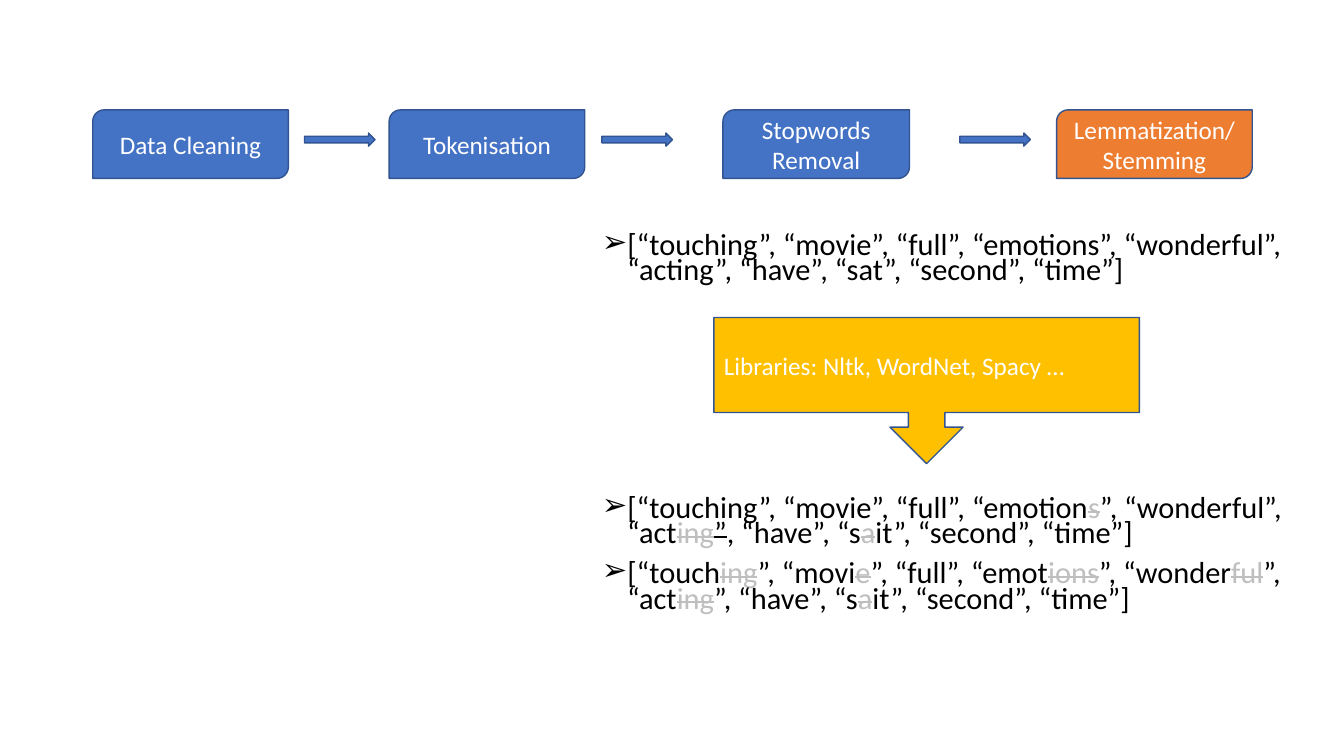
from lxml import etree
from pptx import Presentation
from pptx.dml.color import RGBColor
from pptx.enum.shapes import MSO_SHAPE
from pptx.enum.text import MSO_ANCHOR, MSO_AUTO_SIZE, PP_ALIGN
from pptx.oxml.ns import qn
from pptx.util import Inches, Pt

STEP = MSO_SHAPE.ROUND_2_DIAG_RECTANGLE
ARROW = MSO_SHAPE.RIGHT_ARROW
CALLOUT = MSO_SHAPE.DOWN_ARROW_CALLOUT
LEFT, CENTER = PP_ALIGN.LEFT, PP_ALIGN.CENTER
TOP, MIDDLE = MSO_ANCHOR.TOP, MSO_ANCHOR.MIDDLE
NO_AUTOFIT = MSO_AUTO_SIZE.NONE

FONT = "Calibri"
COLORS = {
    "step": "4472C4",
    "current": "ED7D31",
    "libraries": "FFC000",
    "outline": "325491",
    "light": "FFFFFF",
    "dark": "000000",
    "removed": "BFBFBF",
}

STEPS = [
    ("Data Cleaning", 0, 1.94, "step"),
    ("Tokenisation", 2.94, 1.94, "step"),
    ("Stopwords Removal", 6.25, 1.85, "step"),
    ("Lemmatization/Stemming", 9.56, 1.94, "current"),
]
ARROW_OFFSETS = [2.1, 5.05, 8.6]

TOKENS = [("[“touching”, “movie”, “full”, “emotions”, “wonderful”, "
           "“acting”, “have”, “sat”, “second”, “time”]", "dark", False)]
LEMMAS = [
    ("[“touching”, “movie”, “full”, “emotion", "dark", False),
    ("s", "removed", True),
    ("”, “wonderful”, “act", "dark", False),
    ("ing", "removed", True),
    ("”", "dark", True),
    (", “have”, “s", "dark", False),
    ("a", "removed", True),
    ("it”, “second”, “time”]", "dark", False),
]
STEMS = [
    ("[“touch", "dark", False),
    ("ing", "removed", True),
    ("”, “movi", "dark", False),
    ("e", "removed", True),
    ("”, “full”, “emot", "dark", False),
    ("ions", "removed", True),
    ("”, “wonder", "dark", False),
    ("ful", "removed", True),
    ("”, “act", "dark", False),
    ("ing", "removed", True),
    ("”, “have”, “s", "dark", False),
    ("a", "removed", True),
    ("it”, “second”, “time”]", "dark", False),
]


def rgb(name):
    return RGBColor.from_string(COLORS[name])


def add_text(paragraph, text, size=18, color="light", align=LEFT, strike=False):
    paragraph.alignment = align
    run = paragraph.add_run()
    run.text = text
    run.font.name = FONT
    run.font.size = Pt(size)
    run.font.color.rgb = rgb(color)
    if strike:
        run.font._element.set("strike", "sngStrike")


def add_block(slide, kind, left, top, width, height, fill):
    block = slide.shapes.add_shape(
        kind, Inches(left), Inches(top), Inches(width), Inches(height))
    block.shadow.inherit = False
    block.fill.solid()
    block.fill.fore_color.rgb = rgb(fill)
    block.line.color.rgb = rgb("outline")
    block.line.width = Pt(1)
    block.text_frame.word_wrap = True
    block.text_frame.vertical_anchor = MIDDLE
    return block


def set_bullet(paragraph, symbol):
    properties = paragraph._p.get_or_add_pPr()
    properties.set("marL", str(Inches(0.25)))
    properties.set("indent", str(Inches(-0.25)))
    etree.SubElement(properties, qn("a:buChar")).set("char", symbol)


def pipeline(slide, left, top, height):
    for label, offset, width, fill in STEPS:
        step = add_block(slide, STEP, left + offset, top, width, height, fill)
        add_text(step.text_frame.paragraphs[0], label, align=CENTER)
    for offset in ARROW_OFFSETS:
        add_block(slide, ARROW, left + offset, top + 0.23, 0.7, 0.13, "step")


def token_lists(slide, left, top, width, height):
    body = slide.placeholders[1]
    body.left, body.top = Inches(left), Inches(top)
    body.width, body.height = Inches(width), Inches(height)
    frame = body.text_frame
    frame.word_wrap = True
    frame.auto_size = NO_AUTOFIT
    frame.vertical_anchor = TOP
    for index, (tokens, gap) in enumerate([(TOKENS, 0), (LEMMAS, 151.5), (STEMS, 10)]):
        paragraph = frame.add_paragraph() if index else frame.paragraphs[0]
        set_bullet(paragraph, "➢")
        paragraph.line_spacing = 0.7
        paragraph.space_before = Pt(gap)
        for text, color, strike in tokens:
            add_text(paragraph, text, size=21.7, color=color, strike=strike)


def libraries_callout(slide, left, top, width, height):
    callout = add_block(slide, CALLOUT, left, top, width, height, "libraries")
    add_text(callout.text_frame.paragraphs[0], "Libraries: Nltk, WordNet, Spacy …")


def main():
    deck = Presentation()
    deck.slide_width, deck.slide_height = Inches(13.33), Inches(7.5)
    slide = deck.slides.add_slide(deck.slide_layouts[1])
    empty_title = slide.shapes.title._element
    empty_title.getparent().remove(empty_title)
    token_lists(slide, 5.87, 2.28, 7.18, 4.56)
    pipeline(slide, 0.92, 1.09, 0.68)
    libraries_callout(slide, 7.08, 3.15, 4.22, 1.45)
    deck.save("out.pptx")


if __name__ == "__main__":
    main()
